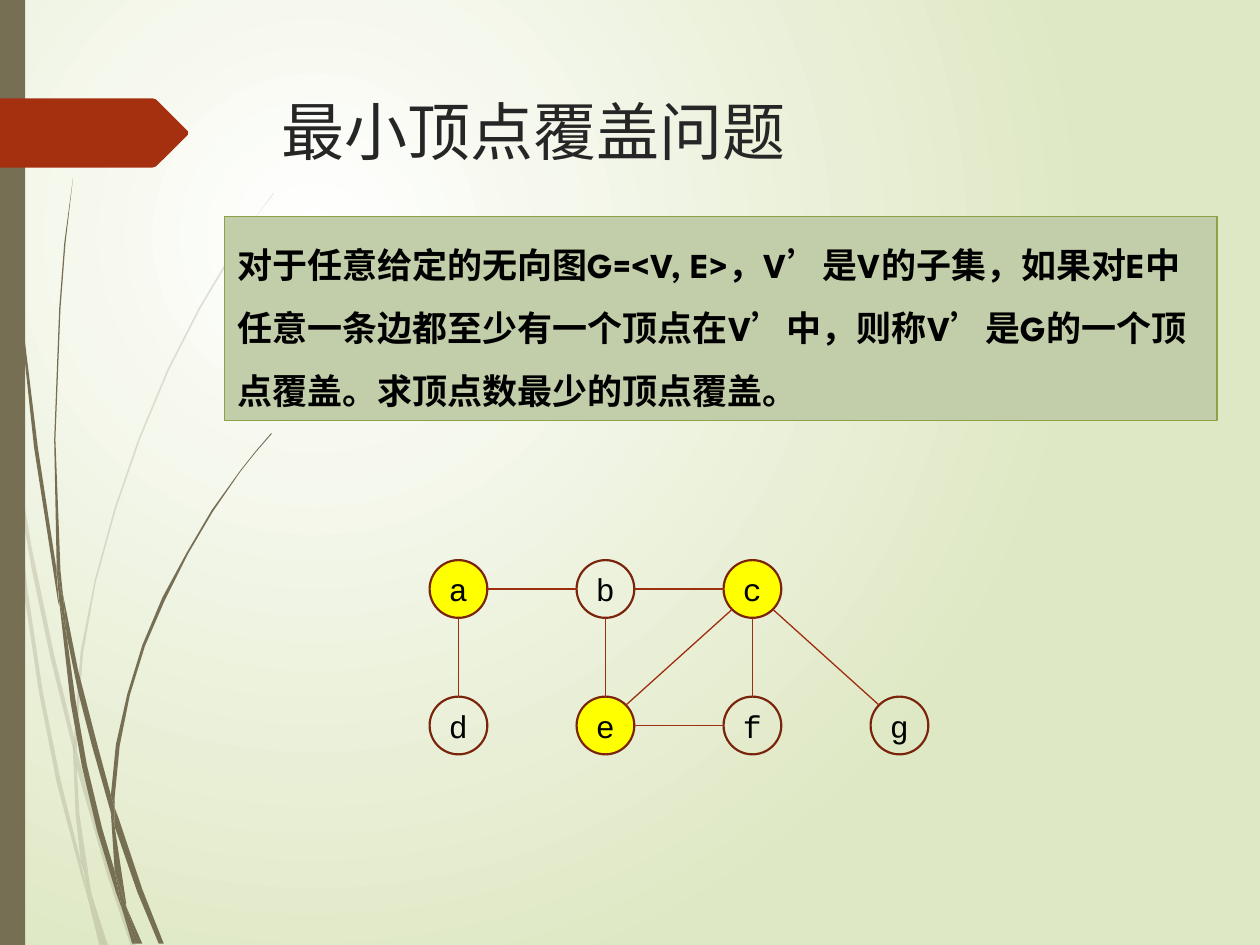
from math import copysign, hypot

from lxml import etree
from pptx import Presentation
from pptx.dml.color import RGBColor
from pptx.enum.shapes import MSO_CONNECTOR, MSO_SHAPE
from pptx.enum.text import MSO_ANCHOR, MSO_AUTO_SIZE, PP_ALIGN
from pptx.oxml.ns import qn
from pptx.util import Pt

RECT, ELLIPSE = MSO_SHAPE.RECTANGLE, MSO_SHAPE.OVAL
STRAIGHT = MSO_CONNECTOR.STRAIGHT
TOP, MIDDLE = MSO_ANCHOR.TOP, MSO_ANCHOR.MIDDLE
LEFT, CENTER = PP_ALIGN.LEFT, PP_ALIGN.CENTER
NO_FIT, GROW = MSO_AUTO_SIZE.NONE, MSO_AUTO_SIZE.SHAPE_TO_FIT_TEXT

WHITE = RGBColor(0xFF, 0xFF, 0xFF)
BLACK = RGBColor(0x00, 0x00, 0x00)
PALE_GREEN = RGBColor(0xDF, 0xE8, 0xC4)
OLIVE = RGBColor(0x76, 0x6F, 0x54)
RUST = RGBColor(0xA5, 0x30, 0x10)
BOX_FILL = RGBColor(0xC2, 0xCE, 0xA9)
BOX_LINE = RGBColor(0x8B, 0xA2, 0x49)
TITLE_COLOR = RGBColor(0x26, 0x26, 0x26)
YELLOW = RGBColor(0xFF, 0xFF, 0x00)
NODE_LINE = RGBColor(0x7A, 0x24, 0x0C)
EDGE_LINE = RGBColor(0x9E, 0x2E, 0x0F)

UNIT = Pt(0.72)  # grid step of the grass and tab outlines

prs = Presentation()
prs.slide_width, prs.slide_height = Pt(720), Pt(540)
s = prs.slides.add_slide(prs.slide_layouts[5])


def put_text(sp, text, size, font, color, bold=False, align=LEFT, anchor=TOP,
             spacing=None, wrap=True, fit=NO_FIT):
    tf = sp.text_frame
    tf.word_wrap, tf.auto_size, tf.vertical_anchor = wrap, fit, anchor
    p = tf.paragraphs[0]
    p.alignment = align
    if spacing:
        p.line_spacing = spacing
    r = p.add_run()
    r.text = text
    r.font.size, r.font.name, r.font.bold = Pt(size), font, bold
    r.font.color.rgb = color


def add_outline(shapes, points, color, alpha=None):
    builder = shapes.build_freeform(*points[0], scale=UNIT)
    builder.add_line_segments(points[1:], close=True)
    sp = builder.convert_to_shape()
    sp.shadow.inherit = False
    sp.fill.solid()
    sp.fill.fore_color.rgb = color
    sp.line.fill.background()
    if alpha:
        clr = sp.fill._xPr.find(".//" + qn("a:srgbClr"))
        etree.SubElement(clr, qn("a:alpha"), val=str(alpha * 1000))


# Background: circular gradient centred in the upper left
fill = s.background.fill
fill.gradient()
for stop, color in zip(fill.gradient_stops, (WHITE, PALE_GREEN)):
    stop.color.rgb = color
grad = s.element.find(".//" + qn("a:gradFill"))
grad.remove(grad.find(qn("a:lin")))
circle = etree.SubElement(grad, qn("a:path"), path="circle")
etree.SubElement(circle, qn("a:fillToRect"), l="50000", t="50000", r="100000", b="100000")

# Grass blades: a faint tuft behind a solid one
FAINT_BLADES = [
    [(8, 350), (6, 322), (0, 282), (0, 299), (7, 344)],
    [(40, 522), (59, 599), (59, 586), (43, 520), (25, 434), (10, 345), (12, 376), (25, 451)],
    [(64, 607), (61, 596), (61, 610), (85, 694), (104, 751), (108, 751), (88, 692)],
    [(83, 751), (86, 751), (73, 711)],
    [(64, 683), (48, 619), (34, 549), (22, 469), (12, 376), (8, 350), (19, 470), (31, 550),
     (45, 621), (64, 693), (70, 714), (69, 707)],
    [(58, 599), (60, 646), (64, 683), (67, 692), (73, 711), (72, 706), (63, 646), (61, 610),
     (61, 608)],
    [(61, 584), (66, 518), (76, 462), (92, 404), (111, 349), (134, 294), (159, 245), (187, 198),
     (201, 175), (217, 154), (217, 153), (201, 175), (186, 197), (158, 244), (133, 293),
     (110, 348), (91, 403), (75, 461), (64, 517), (59, 584), (59, 586), (61, 596)],
    [(70, 714), (79, 751), (82, 751)],
    [(61, 608), (61, 610), (61, 596), (59, 586), (58, 599)],
    [(67, 692), (65, 683), (69, 707), (70, 714), (82, 751), (83, 751), (73, 711)],
]
SOLID_BLADES = [
    [(5, 110), (14, 233), (27, 355), (46, 477), (47, 481), (45, 457), (45, 453), (30, 355),
     (15, 232), (6, 109), (4, 48), (3, 0), (2, 0), (3, 48)],
    [(73, 592), (88, 645), (88, 633), (88, 631), (77, 590), (62, 532), (50, 472), (53, 505),
     (62, 549)],
    [(94, 649), (91, 641), (91, 656), (109, 708), (126, 749), (130, 749), (113, 706)],
    [(91, 691), (81, 657), (69, 607), (60, 556), (53, 505), (47, 477), (56, 557), (65, 608),
     (77, 659), (92, 708), (97, 722), (96, 717)],
    [(50, 472), (48, 453), (44, 349), (48, 245), (52, 193), (58, 141), (51, 193), (47, 245),
     (43, 349), (45, 449), (49, 472)],
    [(110, 749), (113, 749), (100, 719)],
    [(47, 477), (53, 505), (50, 472), (49, 472), (45, 449), (45, 453)],
    [(91, 633), (95, 592), (103, 552), (115, 513), (131, 476), (149, 440), (169, 406),
     (191, 374), (203, 359), (216, 344), (215, 344), (203, 358), (191, 373), (168, 405),
     (148, 439), (129, 474), (113, 512), (101, 551), (92, 591), (88, 631), (91, 641)],
    [(97, 722), (105, 749), (108, 749)],
    [(88, 645), (91, 691), (96, 706), (100, 719), (100, 716), (91, 656), (90, 651)],
    [(88, 645), (90, 651), (91, 656), (91, 641), (88, 631), (88, 633)],
    [(96, 706), (91, 691), (96, 717), (97, 722), (108, 749), (110, 749), (100, 719)],
]
for blades, alpha in ((FAINT_BLADES, 20), (SOLID_BLADES, None)):
    tuft = s.shapes.add_group_shape()
    for blade in blades:
        add_outline(tuft.shapes, blade, OLIVE, alpha)

# Left bar and arrow tab
bar = s.shapes.add_shape(RECT, 0, 0, Pt(14.4), Pt(540))
bar.shadow.inherit = False
bar.fill.solid()
bar.fill.fore_color.rgb = OLIVE
bar.line.fill.background()
add_outline(s.shapes, [(149, 107), (124, 132), (121, 133), (0, 133), (0, 78), (121, 78),
                       (124, 79), (149, 104)], RUST)

# Definition box
box = s.shapes.add_shape(RECT, Pt(128.4), Pt(123.6), Pt(567), Pt(116.8))
box.shadow.inherit = False
box.fill.solid()
box.fill.fore_color.rgb = BOX_FILL
box.line.color.rgb = BOX_LINE
box.line.width = Pt(0.75)
put_text(box, "对于任意给定的无向图G=<V, E>，V’是V的子集，如果对E中任意一条边都至少有一个顶点在V’中，"
              "则称V’是G的一个顶点覆盖。求顶点数最少的顶点覆盖。",
         20, "League Spartan", BLACK, bold=True, spacing=1.5, fit=GROW)

# Title
title = s.shapes.title
title.left, title.top, title.width, title.height = Pt(153.4), Pt(49), Pt(519), Pt(100.8)
put_text(title, "最小顶点覆盖问题", 36, "League Spartan", TITLE_COLOR)

# Graph nodes on a grid of columns and rows; the cover is yellow
NODES = {"a": (0, 0), "d": (0, 1), "b": (1, 0), "c": (2, 0), "e": (1, 1), "f": (2, 1), "g": (3, 1)}
COVER = "ace"
EDGES = ["ad", "ab", "bc", "be", "ce", "cf", "ef", "cg"]
RADIUS = 16.5
graph = s.shapes.add_group_shape()
centers = {}
for name, (col, row) in NODES.items():
    x, y = centers[name] = 262 + 84 * col, 336.6 + 78 * row
    node = graph.shapes.add_shape(ELLIPSE, Pt(x - RADIUS), Pt(y - RADIUS),
                                  Pt(2 * RADIUS), Pt(2 * RADIUS))
    node.shadow.inherit = False
    if name in COVER:
        node.fill.solid()
        node.fill.fore_color.rgb = YELLOW
    else:
        node.fill.background()
    node.line.color.rgb = NODE_LINE
    node.line.width = Pt(1.25)
    put_text(node, name, 18, "Courier New", BLACK, align=CENTER, anchor=MIDDLE, wrap=False)

# Edges leave each circle at the nearest of its eight compass points
for start, end in EDGES:
    (x1, y1), (x2, y2) = centers[start], centers[end]
    dx, dy = (copysign(1, d) if d else 0 for d in (x2 - x1, y2 - y1))
    step = RADIUS / hypot(dx, dy)
    edge = graph.shapes.add_connector(STRAIGHT, Pt(x1 + dx * step), Pt(y1 + dy * step),
                                      Pt(x2 - dx * step), Pt(y2 - dy * step))
    edge.line.color.rgb = EDGE_LINE
    edge.line.width = Pt(0.75)
    etree.SubElement(edge._element.spPr, qn("a:effectLst"))

prs.save("out.pptx")
